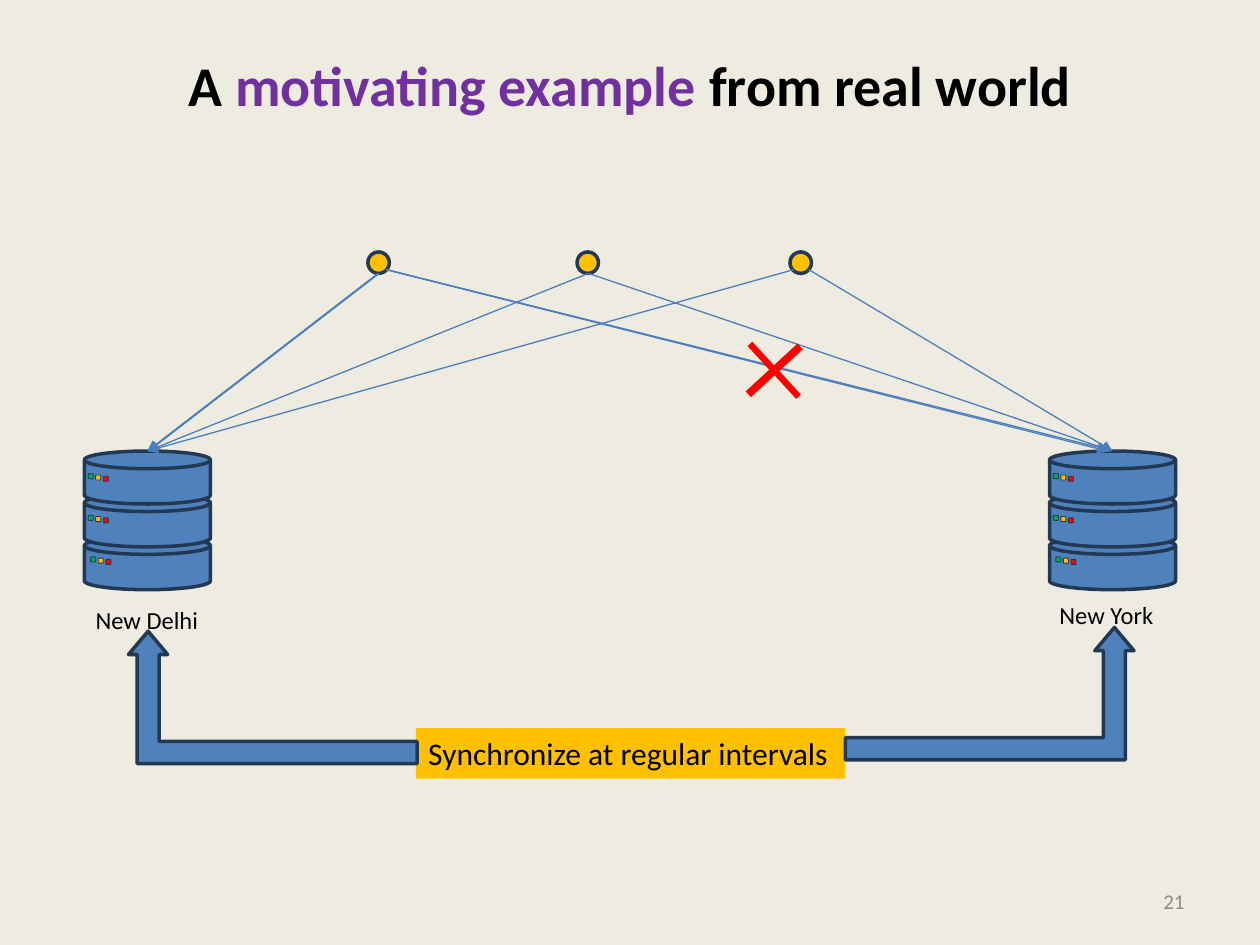
import pptx
import pptx.dml.color
import pptx.enum.shapes
import pptx.enum.text
import pptx.oxml
import pptx.oxml.ns
import pptx.util

SHAPE = pptx.enum.shapes.MSO_SHAPE
ALIGN = pptx.enum.text.PP_ALIGN
ANCHOR = pptx.enum.text.MSO_ANCHOR
IN = pptx.util.Inches

BLUE, NAVY, AMBER, RED, GREEN = "4F81BD", "233953", "FFC000", "FF0000", "00B050"
BLACK, LINK = "000000", "4B7EBC"

TITLE = [("A", BLACK), (" motivating example ", "7030A0"), ("from real world", BLACK)]
LABELS = [  # text, size, colour, fill, alignment, box
    ("21", 12, "8C8C8C", None, ALIGN.RIGHT, (7.17, 6.95, 2.33, 0.4)),
    ("New Delhi", 14, BLACK, None, ALIGN.LEFT, (0.66, 4.75, 1.02, 0.34)),
    ("New York", 14, BLACK, None, ALIGN.LEFT, (8.31, 4.71, 0.95, 0.34)),
    ("Synchronize at regular intervals", 18, BLACK, AMBER, ALIGN.LEFT, (3.3, 5.78, 3.41, 0.4)),
]
SERVERS = [0.67, 8.33]
DISK_TOP, DISK_STEP, DISK_SIZE = 3.58, 0.34, (1, 0.42)
LIGHTS = [(0.09, 0.19, AMBER, 0), (0.03, 0.18, GREEN, 2.8), (0.15, 0.2, RED, 0)]
LIGHT_STEP, LIGHT_SIZE = 0.33, 0.04
LIGHT_SHIFTS = [0, 0, 0.02]  # the lights of the lowest disk sit further right
CLIENTS = [2.92, 4.58, 6.27]
LINKS = [
    ((4.67, 2.17), (1.17, 3.58)),
    ((6.3, 2.14), (1.17, 3.58)),
    ((3, 2.17), (1.17, 3.58)),
    ((3.06, 2.14), (8.79, 3.58)),
    ((4.67, 2.17), (8.83, 3.58)),
    ((6.42, 2.14), (8.83, 3.58)),
    ((3.01, 2.17), (1.18, 3.58)),
    ((3.07, 2.14), (8.8, 3.57)),
]
SYNC_ARROWS = [(6.71, 4.98, False), (1.02, 5.01, True)]  # left, top, mirrored


def rgb(color):
    return pptx.dml.color.RGBColor.from_string(color)


def add_shape(shapes, kind, box, fill, line_width=0, adjustments=()):
    s = shapes.add_shape(kind, *map(IN, box))
    s.shadow.inherit = False
    s.fill.solid()
    s.fill.fore_color.rgb = rgb(fill)
    if line_width:
        s.line.color.rgb = rgb(NAVY)
        s.line.width = pptx.util.Pt(line_width)
    else:
        s.line.fill.background()
    for i, value in enumerate(adjustments):
        s.adjustments[i] = value
    return s


def add_run(p, text, size, color, bold=False):
    r = p.add_run()
    r.text = text
    r.font.name = "Calibri"
    r.font.size = pptx.util.Pt(size)
    r.font.bold = bold
    r.font.color.rgb = rgb(color)


def add_label(slide, text, size, color, fill, align, box):
    s = slide.shapes.add_textbox(*map(IN, box))
    if fill:
        s.fill.solid()
        s.fill.fore_color.rgb = rgb(fill)
    tf = s.text_frame
    tf.word_wrap = align == ALIGN.RIGHT
    tf.vertical_anchor = ANCHOR.MIDDLE if tf.word_wrap else ANCHOR.TOP
    p = tf.paragraphs[0]
    p.alignment = align
    add_run(p, text, size, color)


def add_server(slide, left):
    """Stack three disks from the bottom up, then put three lights on each."""
    shapes = slide.shapes.add_group_shape().shapes
    for row in (2, 1, 0):
        box = (left, DISK_TOP + row * DISK_STEP, *DISK_SIZE)
        add_shape(shapes, SHAPE.FLOWCHART_MAGNETIC_DISK, box, BLUE, 2)
    for row, shift in enumerate(LIGHT_SHIFTS):
        for dx, dy, color, angle in LIGHTS:
            box = (left + dx + shift, DISK_TOP + dy + row * LIGHT_STEP, LIGHT_SIZE, LIGHT_SIZE)
            s = add_shape(shapes, SHAPE.ROUNDED_RECTANGLE, box, color, 0.5)
            s.rotation = angle


def add_link(slide, start, end):
    s = slide.shapes.add_connector(
        pptx.enum.shapes.MSO_CONNECTOR.STRAIGHT, *map(IN, start + end))
    s.line.color.rgb = rgb(LINK)
    s.line.width = pptx.util.Pt(0.75)
    ln = s.line._get_or_add_ln()
    pptx.oxml.ns.qn("a:tailEnd")
    ln.append(pptx.oxml.parse_xml(
        '<a:tailEnd %s type="triangle"/>' % pptx.oxml.ns.nsdecls("a")))
    ln.getparent().append(pptx.oxml.parse_xml(
        "<a:effectLst %s/>" % pptx.oxml.ns.nsdecls("a")))


def add_title(slide):
    s = slide.shapes.title
    s.left, s.top, s.width, s.height = map(IN, (0.5, 0.3, 9, 1.25))
    tf = s.text_frame
    tf.word_wrap = True
    tf.vertical_anchor = ANCHOR.TOP
    tf.margin_top = IN(0.1)
    p = tf.paragraphs[0]
    p.alignment = ALIGN.CENTER
    for text, color in TITLE:
        add_run(p, text, 32, color, True)


def main():
    prs = pptx.Presentation()
    prs.slide_width, prs.slide_height = IN(10), IN(7.5)
    slide = prs.slides.add_slide(prs.slide_layouts[5])
    slide.background.fill.solid()
    slide.background.fill.fore_color.rgb = rgb("EEECE1")

    add_title(slide)
    for left in SERVERS:
        add_server(slide, left)
    for left in CLIENTS:
        add_shape(slide.shapes, SHAPE.OVAL, (left, 2, 0.17, 0.17), AMBER, 2)
    for start, end in LINKS:
        add_link(slide, start, end)
    cross = add_shape(slide.shapes, SHAPE.CROSS, (5.86, 2.66, 0.57, 0.56), RED,
                      adjustments=[0.454])
    cross.rotation = 47.3
    for label in LABELS:
        add_label(slide, *label)
    for left, top, mirrored in SYNC_ARROWS:
        s = add_shape(slide.shapes, SHAPE.BENT_UP_ARROW, (left, top, 2.29, 1.05), BLUE, 2,
                      [0.167, 0.148, 0.176])
        if mirrored:
            s._element.spPr.find(pptx.oxml.ns.qn("a:xfrm")).set("flipH", "1")
    prs.save("out.pptx")


if __name__ == "__main__":
    main()
